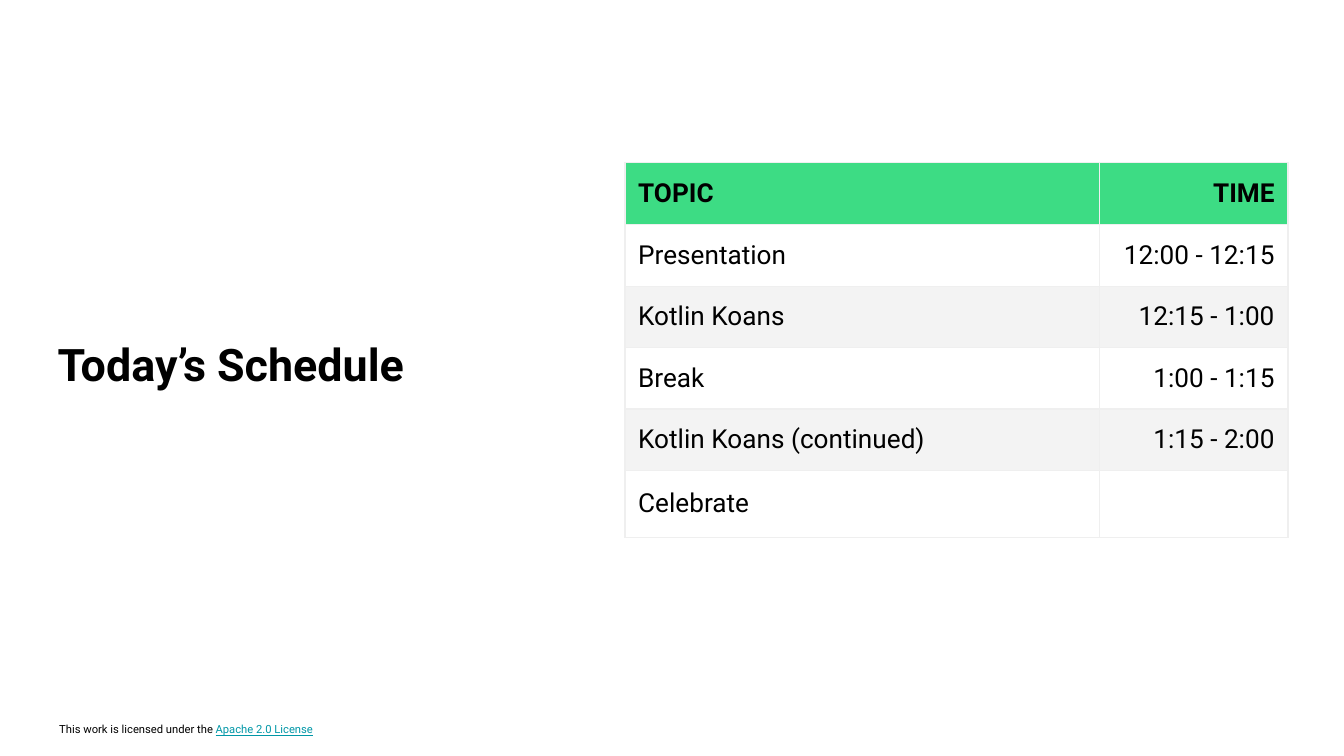
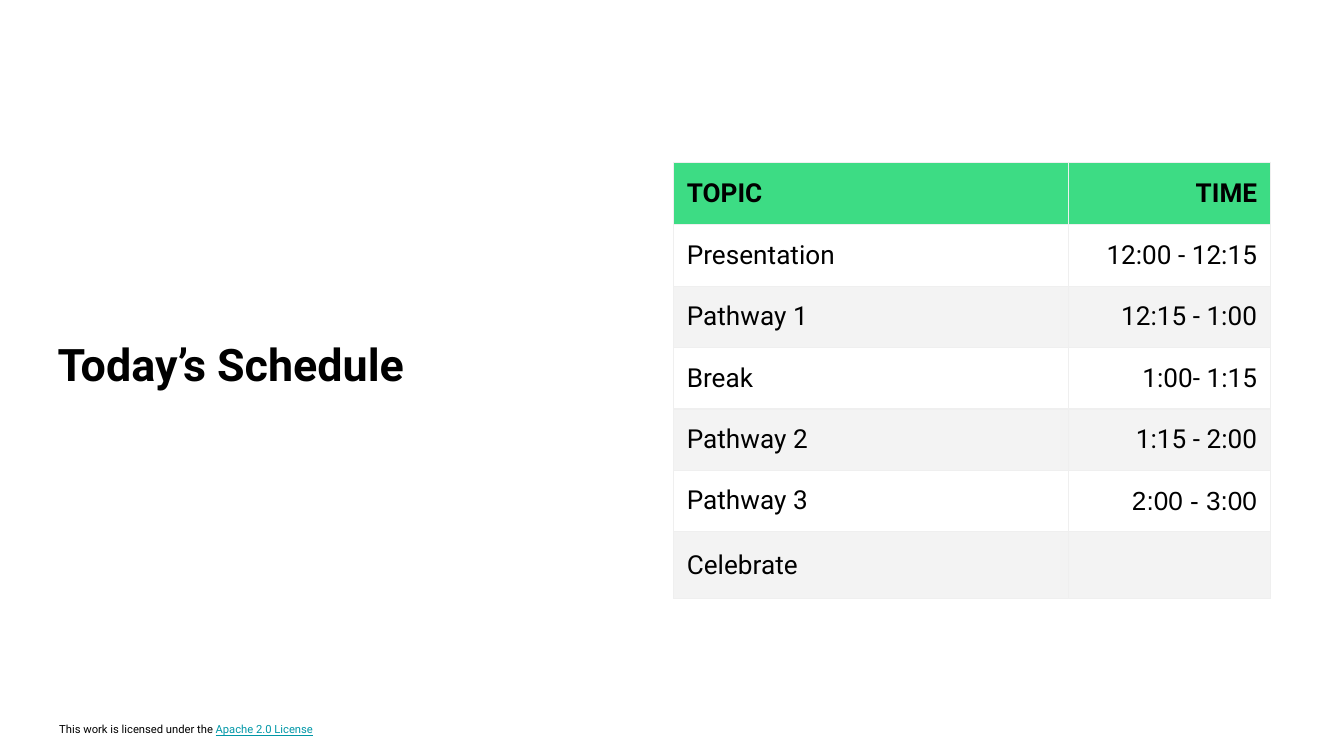
from dataclasses import dataclass

import pptx
import pptx.dml.color
import pptx.enum.text
import pptx.oxml
import pptx.oxml.ns
import pptx.util
from lxml import etree

Cm, Pt = pptx.util.Cm, pptx.util.Pt
ALIGN = pptx.enum.text.PP_ALIGN
ANCHOR = pptx.enum.text.MSO_ANCHOR
qn = pptx.oxml.ns.qn


@dataclass(frozen=True)
class Theme:
    font: str = "Roboto"
    alt_font: str = "Arial"
    ink: str = "000000"
    link: str = "0097A7"
    header: str = "3DDC84"
    band: str = "F3F3F3"
    border: str = "EFEFEF"
    paper: str = "FFFFFF"
    title_size: float = 24
    cell_size: float = 14
    empty_size: float = 18
    footer_size: float = 6
    border_width: float = 0.75


THEME = Theme()


def rgb(value):
    return pptx.dml.color.RGBColor.from_string(value)


def add_text(p, text, size, font=THEME.font, color=THEME.ink,
             bold=False, underline=False):
    r = p.add_run()
    r.text = text
    r.font.name, r.font.size = font, Pt(size)
    r.font.bold, r.font.underline = bold, underline
    r.font.color.rgb = rgb(color)


class Deck:
    def __init__(self, theme):
        self.theme = theme
        self.prs = pptx.Presentation()
        self.prs.slide_width, self.prs.slide_height = Cm(25.4), Cm(14.29)
        self.s = None

    def new_slide(self):
        self.s = self.prs.slides.add_slide(self.prs.slide_layouts[6])
        fill = self.s.background.fill
        fill.solid()
        fill.fore_color.rgb = rgb(self.theme.paper)

    def box(self, left, top, width, height, inset):
        sp = self.s.shapes.add_textbox(Cm(left), Cm(top), Cm(width), Cm(height))
        tf = sp.text_frame
        tf.word_wrap = True
        tf.margin_left = tf.margin_right = Cm(inset)
        tf.margin_top = tf.margin_bottom = Cm(inset)
        return tf.paragraphs[0]

    def title(self, text):
        p = self.box(0.84, 6.12, 11.86, 2.03, 0.25)
        add_text(p, text, self.theme.title_size, bold=True)

    def footer(self):
        t = self.theme
        p = self.box(0.97, 13.41, 6.96, 0.43, 0.15)
        p.line_spacing = 1.4
        add_text(p, "This work is licensed under the ", t.footer_size)
        add_text(p, "Apache 2.0 License", t.footer_size, color=t.link, underline=True)

    def borders(self, cell):
        tcPr = cell._tc.get_or_add_tcPr()
        for side in ("a:lnL", "a:lnR", "a:lnT", "a:lnB"):
            ln = etree.SubElement(tcPr, qn(side), w=str(Pt(self.theme.border_width)))
            fill = etree.SubElement(ln, qn("a:solidFill"))
            etree.SubElement(fill, qn("a:srgbClr"), val=self.theme.border)

    def cell(self, cell, text, fill, align, **style):
        t = self.theme
        cell.vertical_anchor = ANCHOR.MIDDLE
        cell.margin_left = cell.margin_right = Cm(0.25)
        cell.margin_top = cell.margin_bottom = Cm(0.25)
        self.borders(cell)
        if fill:
            cell.fill.solid()
            cell.fill.fore_color.rgb = rgb(fill)
        else:
            cell.fill.background()
        p = cell.text_frame.paragraphs[0]
        p.alignment = align
        if text:
            add_text(p, text, t.cell_size, **style)
        else:
            # An empty cell keeps its own larger type, which sets the row height
            end = etree.SubElement(p._p, qn("a:endParaRPr"), sz=str(int(t.empty_size * 100)))
            etree.SubElement(end, qn("a:latin"), typeface=t.alt_font)

    def schedule(self, left, widths, entries, alt_times=()):
        t = self.theme
        rows = [("TOPIC", "TIME"), *entries]
        heights = [1.18] + [1.16] * len(entries)
        table = self.s.shapes.add_table(
            len(rows), len(widths), Cm(left), Cm(3.07),
            Cm(sum(widths)), Cm(sum(heights))).table
        table.first_row = table.horz_banding = False
        for column, width in zip(table.columns, widths):
            column.width = Cm(width)
        for i, (row, height) in enumerate(zip(rows, heights)):
            table.rows[i].height = Cm(height)
            fill = t.header if i == 0 else t.band if i % 2 == 0 else None
            for j, (text, align) in enumerate(zip(row, (ALIGN.LEFT, ALIGN.RIGHT))):
                font = t.alt_font if text in alt_times else t.font
                self.cell(table.cell(i, j), text, fill, align, bold=i == 0, font=font)


def main():
    deck = Deck(THEME)

    # Schedule with the koans, then schedule with the pathways
    schedules = [
        dict(left=11.81, widths=(8.97, 3.56), entries=[
            ("Presentation", "12:00 - 12:15"),
            ("Kotlin Koans", "12:15 - 1:00"),
            ("Break", "1:00 - 1:15"),
            ("Kotlin Koans (continued)", "1:15 - 2:00"),
            ("Celebrate", ""),
        ]),
        dict(left=12.73, widths=(7.47, 3.81), alt_times=("2:00 - 3:00",), entries=[
            ("Presentation", "12:00 - 12:15"),
            ("Pathway 1", "12:15 - 1:00"),
            ("Break", "1:00- 1:15"),
            ("Pathway 2", "1:15 - 2:00"),
            ("Pathway 3", "2:00 - 3:00"),
            ("Celebrate", ""),
        ]),
    ]
    for schedule in schedules:
        deck.new_slide()
        deck.footer()
        deck.schedule(**schedule)
        deck.title("Today’s Schedule")

    deck.prs.save("out.pptx")


if __name__ == "__main__":
    main()
